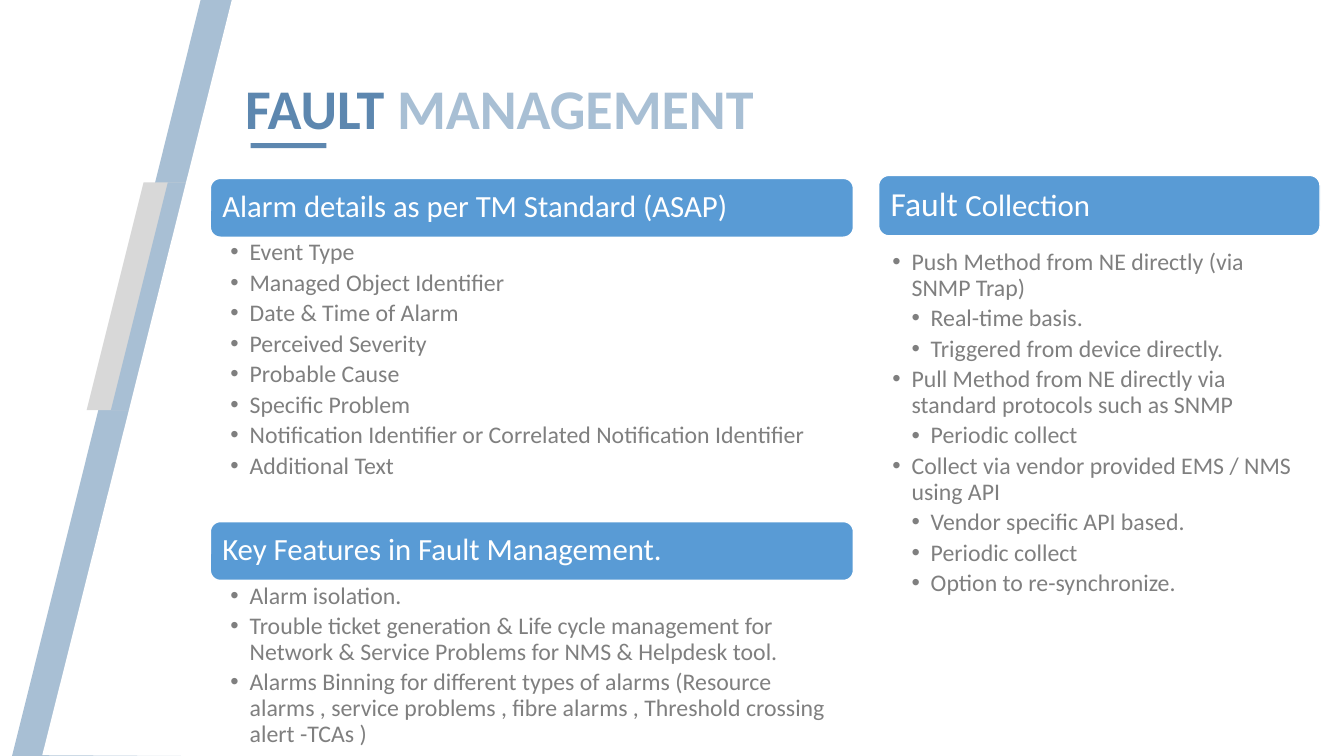
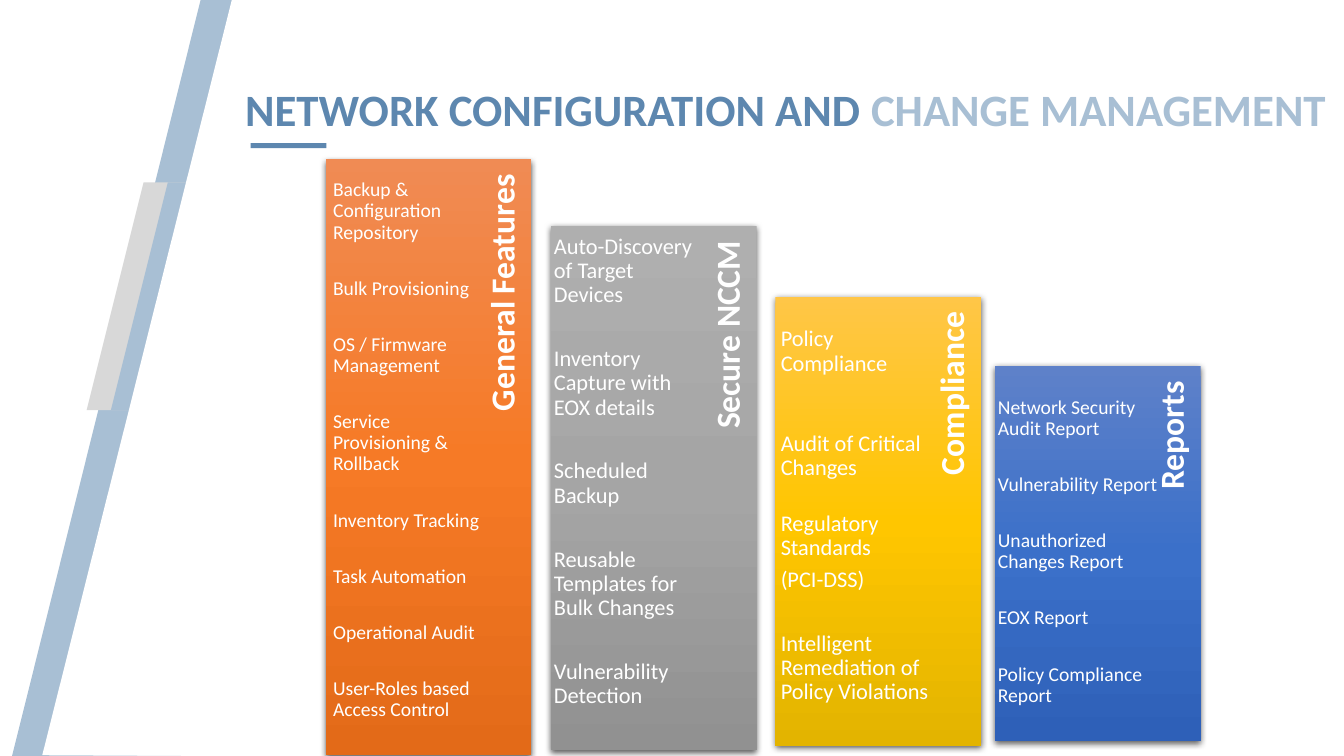
from itertools import repeat

from lxml.etree import SubElement
from pptx import Presentation
from pptx.dml.color import RGBColor
from pptx.enum.shapes import MSO_SHAPE as Preset
from pptx.enum.text import MSO_ANCHOR as Anchor, PP_ALIGN as Align
from pptx.oxml.ns import qn
from pptx.util import Emu, Inches, Pt


def rgb(code):
    return RGBColor.from_string(code)


class Deck:
    """Draws styled elements, with boxes given in percent of the slide's width and height."""

    FONT = "Calibri"
    STEEL, MIST, SILVER = "5D87AF", "A8BFD4", "D8D8D8"
    SKY, GREY, WHITE = "599BD5", "7F7F7F", "FFFFFF"
    INDENT = 0.19

    def __init__(self):
        self.show = Presentation()
        self.show.slide_width, self.show.slide_height = Emu(12192000), Inches(7.5)
        self.slide = None

    def place(self, left, top, width, height):
        column, row = self.show.slide_width / 100, self.show.slide_height / 100
        return [Emu(round(n)) for n in (left * column, top * row, width * column, height * row)]

    def paint(self, figure, fill=None, line=None):
        figure.shadow.inherit = False
        if fill:
            figure.fill.solid()
            figure.fill.fore_color.rgb = rgb(fill)
        if line:
            figure.line.color.rgb = rgb(line)
            figure.line.width = Pt(1)
        else:
            figure.line.fill.background()
        return figure

    def shape(self, preset, box, fill=None, line=None, slant=None):
        figure = self.slide.shapes.add_shape(preset, *self.place(*box))
        if slant is not None:
            figure.adjustments[0] = slant
        return self.paint(figure, fill, line)

    def polygon(self, corners, fill):
        points = [self.place(x, y, 0, 0)[:2] for x, y in corners]
        builder = self.slide.shapes.build_freeform(*points[0], scale=1.0)
        builder.add_line_segments(points[1:], close=True)
        self.paint(builder.convert_to_shape(), fill)

    def frame(self, holder, insets, anchor=Anchor.TOP):
        frame = holder.text_frame
        frame.word_wrap = True
        frame.vertical_anchor = anchor
        frame.margin_left, frame.margin_top, frame.margin_right, frame.margin_bottom = map(Inches, insets)
        return frame

    def text_box(self, box, insets, anchor=Anchor.TOP):
        return self.frame(self.slide.shapes.add_textbox(*self.place(*box)), insets, anchor)

    def style(self, run, size, color, bold=False):
        run.font.name, run.font.size, run.font.bold = self.FONT, Pt(size), bold
        run.font.color.rgb = rgb(color)

    def runs(self, frame, parts, bold=False, align=Align.LEFT):
        paragraph = frame.paragraphs[0]
        paragraph.line_spacing, paragraph.alignment = 0.9, align
        for words, size, color in parts:
            run = paragraph.add_run()
            run.text = words
            self.style(run, size, color, bold)

    def lines(self, frame, texts, size, color, gaps):
        for number, (words, gap) in enumerate(zip(texts, gaps)):
            paragraph = frame.add_paragraph() if number else frame.paragraphs[0]
            paragraph.text = words
            paragraph.line_spacing = 0.9
            paragraph.space_before = Pt(gap if number else 0)
            self.style(paragraph.runs[0], size, color)

    def page(self, dark, light, size, width):
        self.slide = self.show.slides.add_slide(self.show.slide_layouts[6])
        self.polygon([(0.9, 100), (14.93, 0), (53.33, 0), (53.33, 99.47)], self.MIST)
        for left, color in ((6.45, self.SILVER), (8.25, self.MIST)):
            self.shape(Preset.PARALLELOGRAM, (left, 24.13, 22.73, 30.13), color, slant=0.25)
        self.polygon([(3.15, 99.87), (17.25, 0), (100, 0), (100, 99.87)], self.WHITE)
        self.shape(Preset.RECTANGLE, (18.65, 18.93, 5.63, 0.67), self.STEEL)
        title = self.text_box((17.5, 5.12, width, 19.33), (0.1, 0.05, 0.1, 0.05), Anchor.MIDDLE)
        self.runs(title, [(dark, size, self.STEEL), (light, size, self.MIST)], bold=True)

    def heading(self, box, *parts):
        bar = self.shape(Preset.ROUNDED_RECTANGLE, box, self.SKY, self.WHITE, slant=0.17)
        frame = self.frame(bar, (0.09, 0.05, 0.09, 0.05), Anchor.MIDDLE)
        self.runs(frame, [(words, size, self.WHITE) for words, size in parts])

    def bullets(self, box, insets, items):
        frame = self.text_box(box, insets)
        self.lines(frame, [words for _, words in items], 17, self.GREY, repeat(3.4))
        for paragraph, (level, _) in zip(frame.paragraphs, items):
            paragraph.level = level
            properties = paragraph._p.get_or_add_pPr()
            properties.set("marL", str(Inches(self.INDENT * level)))
            properties.set("indent", str(-Inches(self.INDENT)))
            SubElement(properties, qn("a:buFont"), typeface="Arial")
            SubElement(properties, qn("a:buChar"), char="•")

    def pillar(self, box, stops, label):
        left, top, width, height = box
        column = self.shape(Preset.RECTANGLE, box)
        column.fill.gradient()
        column.fill.gradient_angle = 270
        properties = column._element.spPr
        stop_list = properties.find(".//" + qn("a:gsLst"))
        for stop in list(stop_list):
            stop_list.remove(stop)
        for position, code in zip((0, 50000, 100000), stops):
            stop = SubElement(stop_list, qn("a:gs"), pos=str(position))
            SubElement(stop, qn("a:srgbClr"), val=code)
        shadow = SubElement(properties.find(qn("a:effectLst")), qn("a:outerShdw"),
                            blurRad=str(Pt(4.5)), dist=str(Pt(1.5)), dir="5400000",
                            algn="ctr", rotWithShape="0")
        tint = SubElement(shadow, qn("a:srgbClr"), val="000000")
        SubElement(tint, qn("a:alpha"), val="63000")

        x, y, thick, length = self.place(left + width - 3.95, top, 4, height * 0.9)
        side = self.slide.shapes.add_textbox(
            x + (thick - length) // 2, y + (length - thick) // 2, length, thick)
        side.rotation = 270
        frame = self.frame(side, (0.1, 0, 0.15, 0.03), Anchor.MIDDLE)
        self.runs(frame, [(label, 24, self.WHITE)], bold=True, align=Align.RIGHT)


def fault_management(deck):
    deck.page("FAULT ", "MANAGEMENT", 40, 75.6)
    left, width = 15.65, 47.85
    alarm_details = ["Event Type", "Managed Object Identifier", "Date & Time of Alarm",
                     "Perceived Severity", "Probable Cause", "Specific Problem",
                     "Notification Identifier or Correlated Notification Identifier",
                     "Additional Text"]
    key_features = [
        "Alarm isolation.",
        "Trouble ticket generation & Life cycle management for Network & Service Problems "
        "for NMS & Helpdesk tool.",
        "Alarms Binning for different types of alarms (Resource alarms , service problems , "
        "fibre alarms , Threshold crossing alert -TCAs )"]
    sections = [(23.6, 33.87, "Alarm details as per TM Standard (ASAP)", alarm_details),
                (69, 23.2, "Key Features in Fault Management.", key_features)]
    bar = 7.78
    for top, height, heading, items in sections:
        deck.heading((left, top, width, bar), (heading, 22))
        deck.bullets((left, top + bar, width, height), (0.2, 0.03, 0.17, 0.03),
                     [(1, words) for words in items])

    deck.heading((65.37, 23.2, 32.85, 8), ("Fault ", 24), ("Collection", 22))
    deck.bullets((65.35, 32.8, 32.85, 48.27), (0.14, 0.02, 0.13, 0.02), [
        (1, "Push Method from NE directly (via SNMP Trap)"),
        (2, "Real-time basis."),
        (2, "Triggered from device directly."),
        (1, "Pull Method from NE directly via standard protocols such as SNMP"),
        (2, "Periodic collect"),
        (1, "Collect via vendor provided EMS / NMS using API"),
        (2, "Vendor specific API based."),
        (2, "Periodic collect"),
        (2, "Option to re-synchronize.")])


def change_management(deck):
    deck.page("NETWORK CONFIGURATION AND ", "CHANGE MANAGEMENT", 32, 82.5)
    pillars = [
        ("General Features", (24.25, 21.07), ("F08B54", "F67A26", "E36A18"),
         (24.33, 22.97, 11.85), 14, 0.06, repeat(24.95),
         ["Backup & Configuration Repository", "Bulk Provisioning", "OS / Firmware Management",
          "Service Provisioning & Rollback", "Inventory Tracking", "Task Automation",
          "Operational Audit", "User-Roles based Access Control"]),
        ("Secure NCCM", (41, 29.87), ("AFAFAF", "A5A5A5", "919191"),
         (40.69, 30.17, 11.4), 16, 0.07, repeat(28.4),
         ["Auto-Discovery of Target Devices", "Inventory Capture with EOX details",
          "Scheduled Backup", "Reusable Templates for Bulk Changes", "Vulnerability Detection"]),
        ("Compliance", (57.69, 39.25), ("FFC647", "FFC600", "E3B400"),
         (57.57, 42.4, 13.05), 16, 0.07, (0, 40, 22.7, 5.6, 28.4),
         ["Policy Compliance", "Audit of Critical Changes", "Regulatory Standards", "(PCI-DSS)",
          "Intelligent Remediation of Policy Violations"]),
        ("Reports", (74.04, 48.4), ("5E81C9", "3B70C9", "2E60B8"),
         (73.8, 51.75, 13.13), 14, 0.06, repeat(24.95),
         ["Network Security Audit Report", "Vulnerability Report", "Unauthorized Changes Report",
          "EOX Report", "Policy Compliance Report"])]
    for number, (label, corner, stops, area, size, inset, gaps, items) in enumerate(pillars):
        left, top = corner
        bottom = 99.87 - 0.62 * number
        deck.pillar((left, top, 15.3, bottom - top), stops, label)
        frame = deck.text_box((*area, bottom - area[1]), [inset] * 4)
        deck.lines(frame, items, size, deck.WHITE, gaps)


def main():
    deck = Deck()
    fault_management(deck)
    change_management(deck)
    deck.show.save("out.pptx")


if __name__ == "__main__":
    main()
